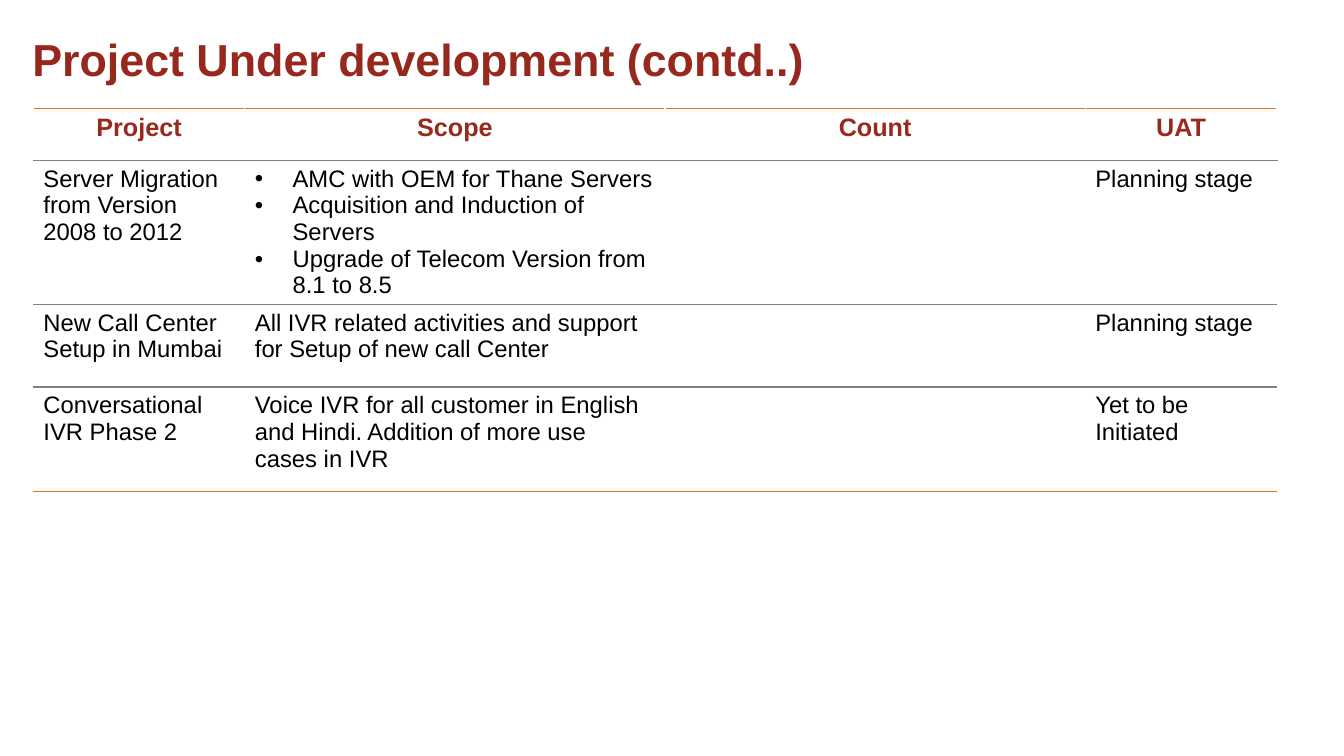
import pptx
import pptx.util
import pptx.dml.color
import pptx.enum.text
import pptx.oxml
import pptx.oxml.ns
from pptx.util import Cm

# Content: a list in a cell becomes bullets
TITLE = "Project Under development (contd..)"
HEADERS = ["Project", "Scope", "Count", "UAT"]
ROWS = [
    ["Server Migration from Version 2008 to 2012",
     ["AMC with OEM for Thane Servers",
      "Acquisition and Induction of Servers",
      "Upgrade of Telecom Version from 8.1 to 8.5"],
     "", "Planning stage"],
    ["New Call Center Setup in Mumbai",
     "All IVR related activities and support for Setup of new call Center",
     "", "Planning stage"],
    ["Conversational IVR Phase 2",
     "Voice IVR for all customer in English and Hindi. "
     "Addition of more use cases in IVR",
     "", "Yet to be Initiated"],
]
COL_WIDTHS = [5.33, 10.59, 10.59, 4.83]
ROW_HEIGHTS = [1.3, 3.63, 2.08, 2.64]


class Theme:
    font = "Arial"
    title, header, body = "97281D", "97291E", "000000"
    rule, inner, white = "E77817", "7F8080", "FFFFFF"
    title_size, header_size, body_size = 32, 18, 17
    bullet_indent = Cm(0.95)
    line = pptx.util.Pt(1)


def add_run(p, text, size, color, bold=False):
    r = p.add_run()
    r.text = text
    r.font.name = Theme.font
    r.font.size = pptx.util.Pt(size)
    r.font.bold = bold
    r.font.color.rgb = pptx.dml.color.RGBColor.from_string(color)


def add_bullet(p):
    pPr = p._p.get_or_add_pPr()
    pPr.set("marL", str(Theme.bullet_indent))
    pPr.set("indent", str(-Theme.bullet_indent))
    for tag, key, value in (("buFont", "typeface", Theme.font),
                            ("buChar", "char", "•")):
        pPr.append(pptx.oxml.parse_xml(
            f'<a:{tag} {pptx.oxml.ns.nsdecls("a")} {key}="{value}"/>'))


def set_borders(cell, sides):
    tcPr = cell._tc.get_or_add_tcPr()
    for i, (side, color) in enumerate(sides.items()):
        fill = (f'<a:solidFill><a:srgbClr val="{color}"/></a:solidFill>'
                if color else "<a:noFill/>")
        tcPr.insert(i, pptx.oxml.parse_xml(
            f'<a:ln{side} {pptx.oxml.ns.nsdecls("a")} w="{Theme.line}">'
            f'{fill}</a:ln{side}>'))


def fill_cell(cell, content, is_header):
    tf = cell.text_frame
    items = content if isinstance(content, list) else [content]
    for i, text in enumerate(items):
        p = tf.paragraphs[0] if i == 0 else tf.add_paragraph()
        if isinstance(content, list):
            add_bullet(p)
        if is_header:
            p.alignment = pptx.enum.text.PP_ALIGN.CENTER
            add_run(p, text, Theme.header_size, Theme.header, True)
        elif text:
            add_run(p, text, Theme.body_size, Theme.body)


def add_title(s):
    sp = s.shapes.title
    sp.left, sp.top, sp.width, sp.height = Cm(0.56), Cm(0.66), Cm(32.46), Cm(2.08)
    tf = sp.text_frame
    tf.word_wrap = True
    tf.auto_size = pptx.enum.text.MSO_AUTO_SIZE.NONE
    tf.vertical_anchor = pptx.enum.text.MSO_ANCHOR.TOP
    p = tf.paragraphs[0]
    p.alignment = pptx.enum.text.PP_ALIGN.LEFT
    add_run(p, TITLE, Theme.title_size, Theme.title, True)


def add_project_table(s):
    grid = [HEADERS] + ROWS
    table = s.shapes.add_table(
        len(grid), len(HEADERS), Cm(0.84), Cm(2.74),
        Cm(sum(COL_WIDTHS)), Cm(sum(ROW_HEIGHTS))).table
    table.first_row = table.horz_banding = False
    for column, width in zip(table.columns, COL_WIDTHS):
        column.width = Cm(width)
    for row, height in zip(table.rows, ROW_HEIGHTS):
        row.height = Cm(height)

    # Orange outer rules, grey rules between rows
    last = len(grid) - 1
    for i, values in enumerate(grid):
        edge = Theme.white if i == 0 else None
        sides = {"L": edge, "R": edge,
                 "T": Theme.rule if i == 0 else Theme.inner,
                 "B": Theme.rule if i == last else Theme.inner}
        for j, content in enumerate(values):
            cell = table.cell(i, j)
            cell.fill.background()
            set_borders(cell, sides)
            fill_cell(cell, content, i == 0)


def main():
    prs = pptx.Presentation()
    prs.slide_width, prs.slide_height = Cm(33.87), Cm(19.05)
    s = prs.slides.add_slide(prs.slide_layouts[5])
    add_title(s)
    add_project_table(s)
    prs.save("out.pptx")


if __name__ == "__main__":
    main()
